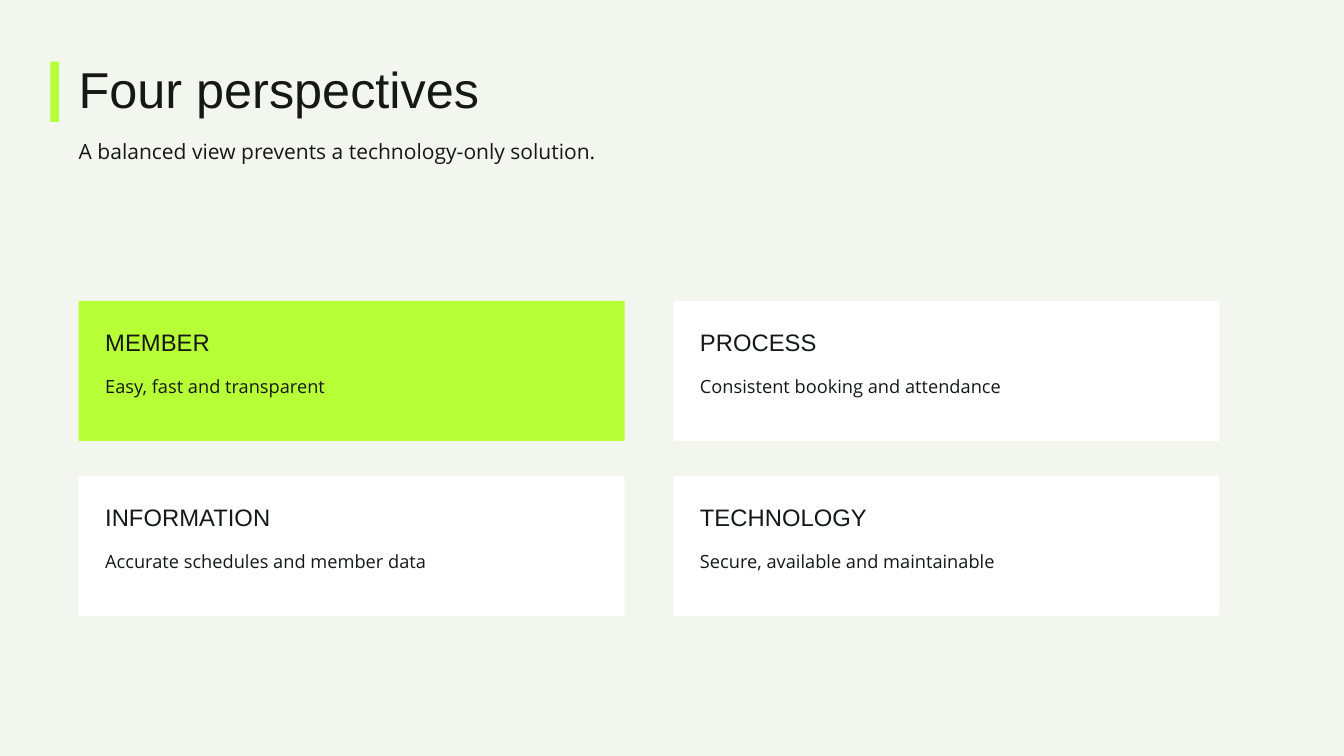
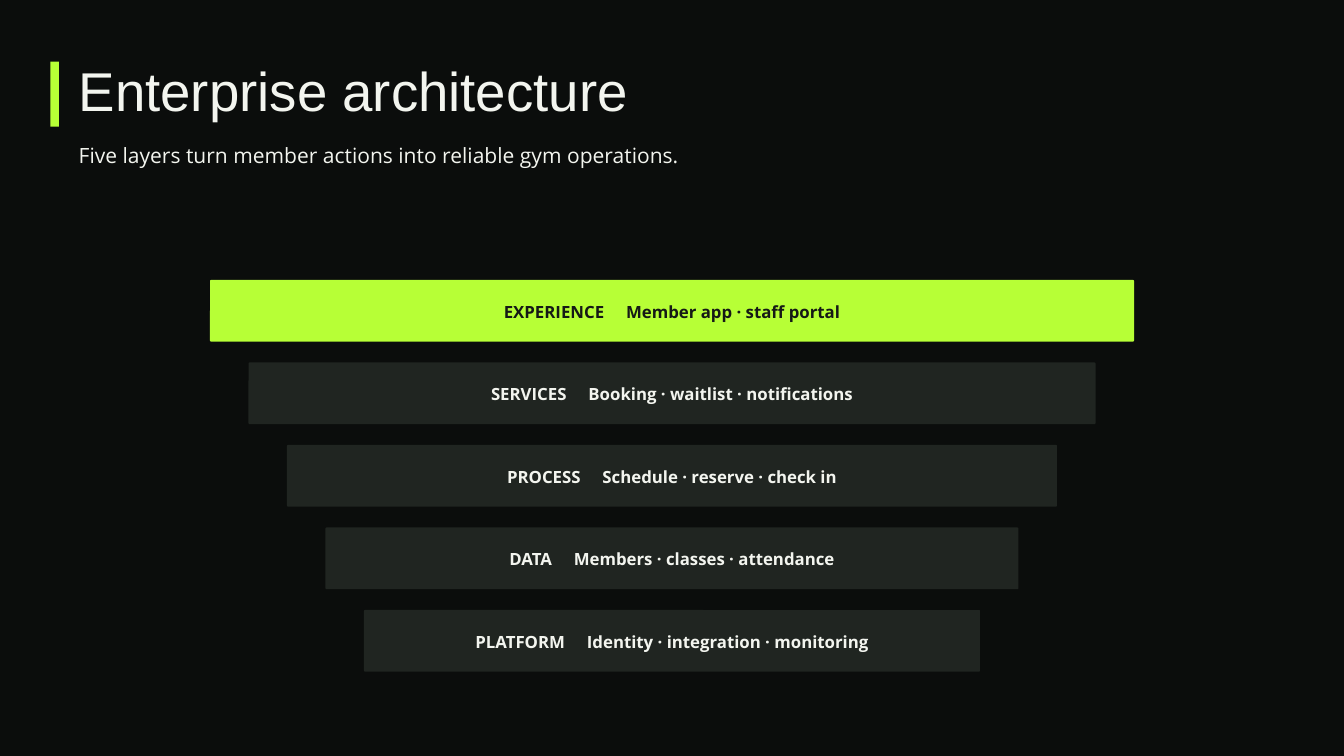
import pptx
import pptx.dml.color
import pptx.enum.shapes
import pptx.enum.text
import pptx.util

Pt = pptx.util.Pt
SHAPE = pptx.enum.shapes.MSO_SHAPE
ALIGN = pptx.enum.text.PP_ALIGN
ANCHOR = pptx.enum.text.MSO_ANCHOR

SLIDE_WIDTH, SLIDE_HEIGHT = 1440, 810
LEFT_MARGIN = 84.3
CORNER_RADIUS = 1.1
WORD_GAP = 18.72
HEADING_FONT, BODY_FONT = "Arial", "Open Sans"
COLORS = {
    "lime": "B7FF36",
    "ink": "151916",
    "paper": "F3F5EF",
    "white": "FFFFFF",
    "night": "0B0D0C",
    "charcoal": "202521",
}

PERSPECTIVES = [
    ("MEMBER", "Easy, fast and transparent"),
    ("PROCESS", "Consistent booking and attendance"),
    ("INFORMATION", "Accurate schedules and member data"),
    ("TECHNOLOGY", "Secure, available and maintainable"),
]
LAYERS = [
    ("EXPERIENCE", "Member app · staff portal"),
    ("SERVICES", "Booking · waitlist · notifications"),
    ("PROCESS", "Schedule · reserve · check in"),
    ("DATA", "Members · classes · attendance"),
    ("PLATFORM", "Identity · integration · monitoring"),
]


def rgb(color):
    return pptx.dml.color.RGBColor.from_string(COLORS[color])


def add_slide(presentation, background):
    slide = presentation.slides.add_slide(presentation.slide_layouts[6])
    slide.background.fill.solid()
    slide.background.fill.fore_color.rgb = rgb(background)
    return slide


def add_block(slide, box, color, kind=SHAPE.ROUNDED_RECTANGLE):
    shape = slide.shapes.add_shape(kind, *map(Pt, box))
    if kind == SHAPE.ROUNDED_RECTANGLE:
        shape.adjustments[0] = CORNER_RADIUS / min(box[2:])
    shape.shadow.inherit = False
    shape.fill.solid()
    shape.fill.fore_color.rgb = rgb(color)
    shape.line.fill.background()
    return shape


def set_frame(frame, insets=(0, 0, 0, 0), anchor=ANCHOR.TOP):
    """Insets run left, top, right, bottom."""
    frame.word_wrap = True
    frame.vertical_anchor = anchor
    (frame.margin_left, frame.margin_top,
     frame.margin_right, frame.margin_bottom) = map(Pt, insets)


def set_paragraph(paragraph, line_spacing, align=ALIGN.LEFT):
    paragraph.alignment = align
    paragraph.line_spacing = Pt(line_spacing)


def add_run(paragraph, text, font, size, color, bold=False):
    run = paragraph.add_run()
    run.text = text
    run.font.name = font
    run.font.size = Pt(size)
    run.font.bold = bold
    run.font.color.rgb = rgb(color)
    return run


def add_line_of_text(slide, box, text, font, size, line_spacing, color):
    frame = slide.shapes.add_textbox(*map(Pt, box)).text_frame
    set_frame(frame)
    set_paragraph(frame.paragraphs[0], line_spacing)
    add_run(frame.paragraphs[0], text, font, size, color)


def add_header(slide, title, subtitle, color, size, title_top, bar_height):
    bar_top = 66
    title_box = (LEFT_MARGIN, title_top, 1125, bar_height - 7.5)
    subtitle_box = (LEFT_MARGIN, bar_top + bar_height + 14, 960, 29)
    add_line_of_text(slide, title_box, title, HEADING_FONT, size, size * 1.02, color)
    add_line_of_text(slide, subtitle_box, subtitle, BODY_FONT, 22.5, 30.4, color)
    add_block(slide, (54, bar_top, 9, bar_height), "lime", SHAPE.RECTANGLE)


def add_card(slide, box, name, detail, color):
    frame = add_block(slide, box, color).text_frame
    set_frame(frame, (28.1, 23, 28.1, 0))
    heading, body = frame.paragraphs[0], frame.add_paragraph()
    set_paragraph(heading, 35.7)
    add_run(heading, name, HEADING_FONT, 25.5, "ink")
    set_paragraph(body, 27.3)
    body.space_before = Pt(17)
    add_run(body, detail, BODY_FONT, 19.5, "ink")


def add_card_grid(slide, left, top):
    width, height = 585, 150
    column_step, row_step = 637.3, 187.3
    for index, (name, detail) in enumerate(PERSPECTIVES):
        row, column = divmod(index, 2)
        box = (left + column * column_step, top + row * row_step, width, height)
        add_card(slide, box, name, detail, "white" if index else "lime")


def add_layer(slide, box, name, parts, fill, color):
    frame = add_block(slide, box, fill).text_frame
    set_frame(frame, (4.5, 4.5, 4.5, 6.3), ANCHOR.MIDDLE)
    paragraph = frame.paragraphs[0]
    set_paragraph(paragraph, 25.2, ALIGN.CENTER)
    add_run(paragraph, name, BODY_FONT, 18, color, bold=True)
    gap = add_run(paragraph, " ", BODY_FONT, 18, color, bold=True)
    gap._r.get_or_add_rPr().set("spc", str(round(WORD_GAP * 100)))
    add_run(paragraph, parts, BODY_FONT, 18, color, bold=True)


def add_layer_stack(slide, top):
    """Centred bars, each narrower than the one above."""
    widest, narrowing = 990, 82.5
    height, step = 66, 88.4
    for index, (name, parts) in enumerate(LAYERS):
        width = widest - index * narrowing
        box = ((SLIDE_WIDTH - width) / 2, top + index * step, width, height)
        fill, color = ("charcoal", "paper") if index else ("lime", "ink")
        add_layer(slide, box, name, parts, fill, color)


def build_perspectives(presentation):
    slide = add_slide(presentation, "paper")
    add_header(slide, "Four perspectives",
               "A balanced view prevents a technology-only solution.",
               "ink", size=54, title_top=71.5, bar_height=64.5)
    add_card_grid(slide, LEFT_MARGIN, 322.5)


def build_architecture(presentation):
    slide = add_slide(presentation, "night")
    add_header(slide, "Enterprise architecture",
               "Five layers turn member actions into reliable gym operations.",
               "paper", size=58.5, title_top=72, bar_height=69.8)
    add_layer_stack(slide, 300)


def main():
    presentation = pptx.Presentation()
    presentation.slide_width = Pt(SLIDE_WIDTH)
    presentation.slide_height = Pt(SLIDE_HEIGHT)
    build_perspectives(presentation)
    build_architecture(presentation)
    presentation.save("out.pptx")


if __name__ == "__main__":
    main()
